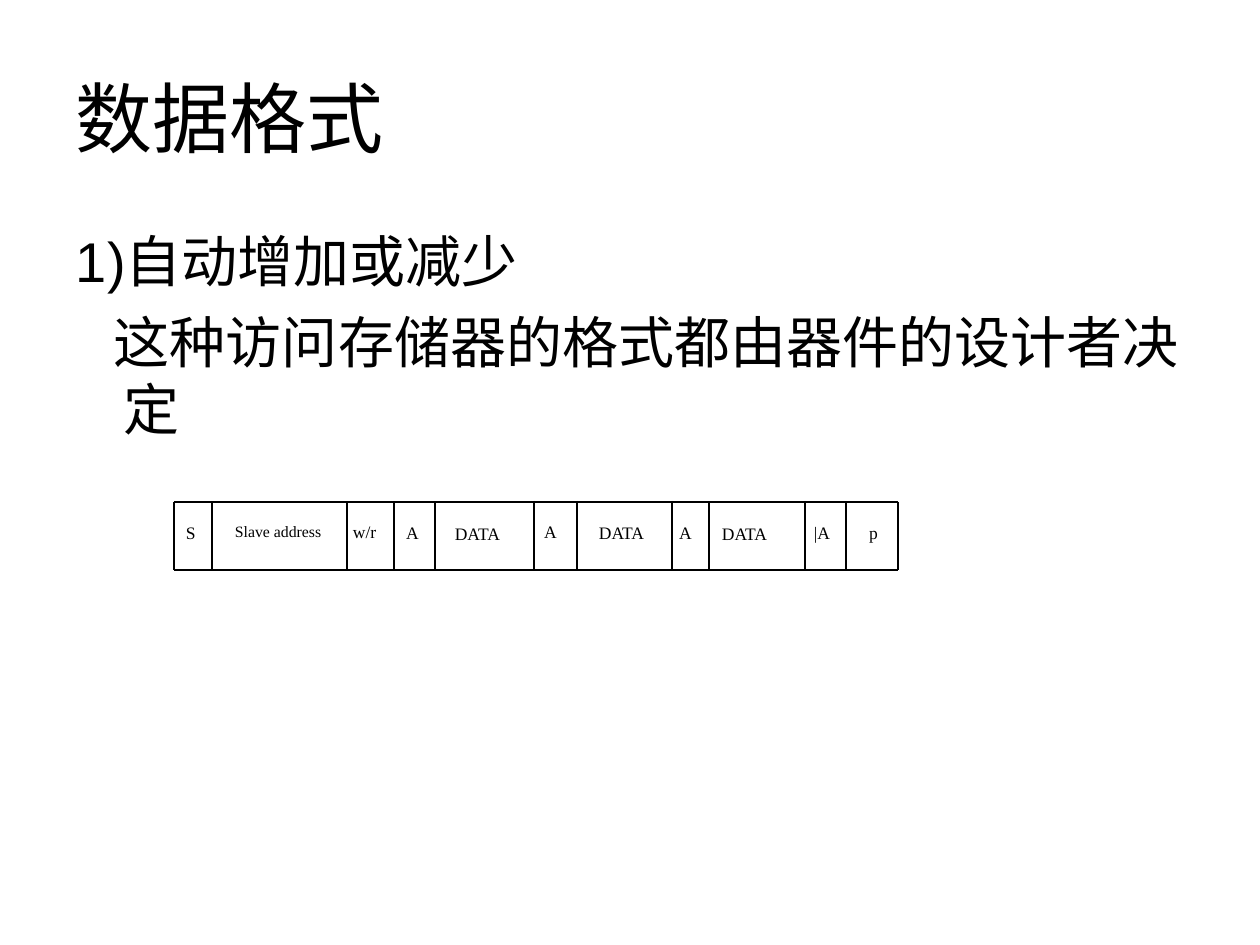
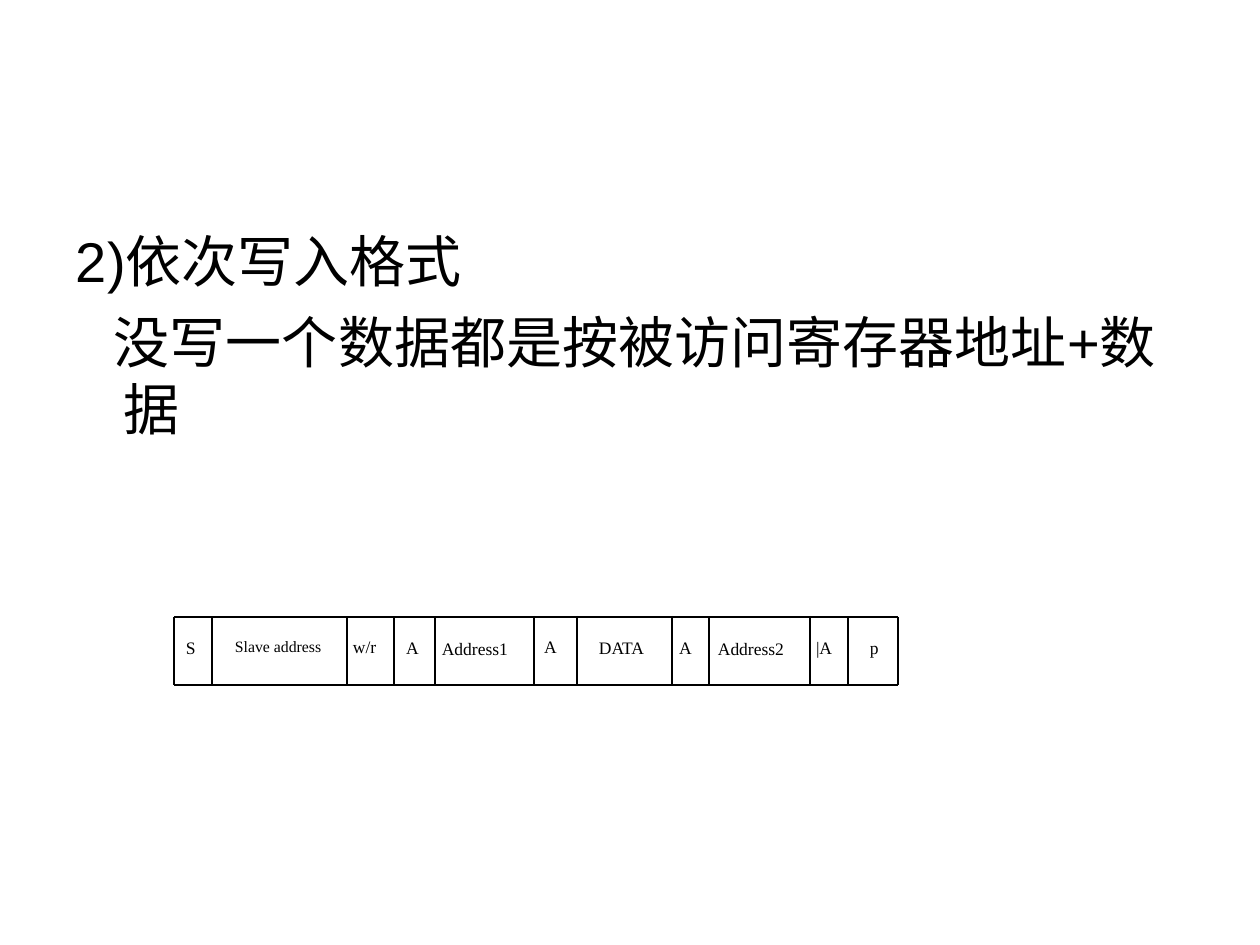
from dataclasses import dataclass
from itertools import accumulate

from lxml import etree
from pptx import Presentation
from pptx.dml.color import RGBColor
from pptx.enum.shapes import MSO_CONNECTOR, MSO_SHAPE
from pptx.enum.text import MSO_ANCHOR, MSO_AUTO_SIZE, PP_ALIGN
from pptx.oxml.ns import qn
from pptx.util import Emu, Pt

RECT = MSO_SHAPE.RECTANGLE
LINE = MSO_CONNECTOR.STRAIGHT
TOP, MIDDLE = MSO_ANCHOR.TOP, MSO_ANCHOR.MIDDLE
LEFT, JUST = PP_ALIGN.LEFT, PP_ALIGN.JUSTIFY
FIXED = MSO_AUTO_SIZE.NONE
SCALE = 914400 / 126


@dataclass(frozen=True)
class Theme:
    ink: RGBColor = RGBColor(0, 0, 0)
    paper: RGBColor = RGBColor(255, 255, 255)
    sans: str = "Arial"
    serif: str = "Times New Roman"
    head: int = 44
    body: int = 32
    label: int = 10
    small: int = 9
    gap: int = 8
    rule: float = 0.75


@dataclass(frozen=True)
class Field:
    text: str
    width: int
    shift: int
    box: int
    drop: int = 14
    tall: int = 40
    pads: tuple = (5, 6, 0, 6)
    size: int = Theme.label
    lift: int = 0


THEME = Theme()
PAGE = (1260, 945)
TITLE = (63, 38, 1134, 157)
BODY = (63, 220, 1134, 624)
WIDE = (13, 6, 13, 6)
FLAT = (0, 6, 0, 6)
HANG = 48
STEP = 10

START = [
    Field("S", 38, 7, 24, pads=(5, 6, 5, 6)),
    Field("Slave address", 135, 10, 122, tall=48, pads=WIDE, size=THEME.small),
    Field("w/r", 47, 1, 43, pads=(5, 5, 5, 6)),
    Field("A", 41, 7, 32),
]
MID = [
    Field("A", 43, 5, 32, drop=13, lift=1),
    Field("DATA", 95, 22, 63, pads=FLAT, lift=1),
    Field("A", 37, 2, 32, lift=1),
]
AUTO = [
    *START,
    Field("DATA", 99, 20, 63, drop=15, pads=FLAT),
    *MID,
    Field("DATA", 96, 13, 63, drop=15, pads=FLAT),
    Field("|A", 41, 4, 32, lift=1),
    Field("p", 52, 10, 32, pads=WIDE),
]
SERIAL = [
    *START,
    Field("Address1", 99, 7, 76, drop=15, pads=FLAT),
    *MID,
    Field("Address2", 101, 9, 86, drop=15, pads=FLAT),
    Field("|A", 38, 1, 32, lift=1),
    Field("p", 50, 9, 32, pads=WIDE),
]


def px(n):
    return Emu(round(n * SCALE))


def scale(box):
    return [px(n) for n in box]


def style(para, face, size, align):
    para.alignment = align
    para.font.name = face
    para.font.size = Pt(size)
    para.font.color.rgb = THEME.ink


def setup(frame, pads, anchor):
    frame.word_wrap = True
    frame.auto_size = FIXED
    frame.vertical_anchor = anchor
    (frame.margin_left, frame.margin_top,
     frame.margin_right, frame.margin_bottom) = scale(pads)


def add_title(slide, box, text):
    title = slide.shapes.title
    title.left, title.top, title.width, title.height = scale(box)
    frame = title.text_frame
    setup(frame, WIDE, MIDDLE)
    frame.text = text
    style(frame.paragraphs[0], THEME.sans, THEME.head, LEFT)


def add_body(slide, box, head, note):
    frame = slide.shapes.add_textbox(*scale(box)).text_frame
    setup(frame, WIDE, TOP)
    frame.text = f"{head}\n{note}"
    for para, first in zip(frame.paragraphs, (HANG, STEP)):
        props = para._p.get_or_add_pPr()
        props.set("marL", str(px(HANG)))
        props.set("indent", str(px(-first)))
        style(para, THEME.sans, THEME.body, LEFT)
    frame.paragraphs[1].space_before = Pt(THEME.gap)


def add_line(shapes, *ends):
    line = shapes.add_connector(LINE, *scale(ends))
    line.line.color.rgb = THEME.ink
    line.line.width = Pt(THEME.rule)
    etree.SubElement(line._element.spPr, qn("a:effectLst"))


def add_label(shapes, x, y, field):
    label = shapes.add_shape(
        RECT, *scale((x + field.shift, y + field.drop, field.box, field.tall)))
    label.shadow.inherit = False
    label.fill.solid()
    label.fill.fore_color.rgb = THEME.paper
    label.line.color.rgb = THEME.paper
    label.line.width = Pt(THEME.rule)
    frame = label.text_frame
    setup(frame, field.pads, TOP)
    frame.text = field.text
    style(frame.paragraphs[0], THEME.serif, field.size, JUST)


def add_strip(slide, box, fields):
    left, top, width, height = box
    right, base = left + width, top + height
    shapes = slide.shapes.add_group_shape().shapes
    edges = list(accumulate((f.width for f in fields), initial=left))
    for x, field in zip(edges, fields):
        add_label(shapes, x, top, field)
    for y in (top, base):
        add_line(shapes, left, y, right, y)
    for x, field in zip(edges, fields):
        add_line(shapes, x, top - field.lift, x, base - field.lift)
    add_line(shapes, right, top, right, base)


def main():
    deck = Presentation()
    deck.slide_width, deck.slide_height = scale(PAGE)
    titled, blank = deck.slide_layouts[5], deck.slide_layouts[6]

    slide = deck.slides.add_slide(titled)
    add_title(slide, TITLE, "数据格式")
    add_body(slide, BODY, "1)自动增加或减少",
             "这种访问存储器的格式都由器件的设计者决定")
    add_strip(slide, (174, 502, 724, 68), AUTO)

    slide = deck.slides.add_slide(blank)
    add_body(slide, BODY, "2)依次写入格式",
             "没写一个数据都是按被访问寄存器地址+数据")
    add_strip(slide, (174, 617, 724, 68), SERIAL)

    deck.save("out.pptx")


if __name__ == "__main__":
    main()
